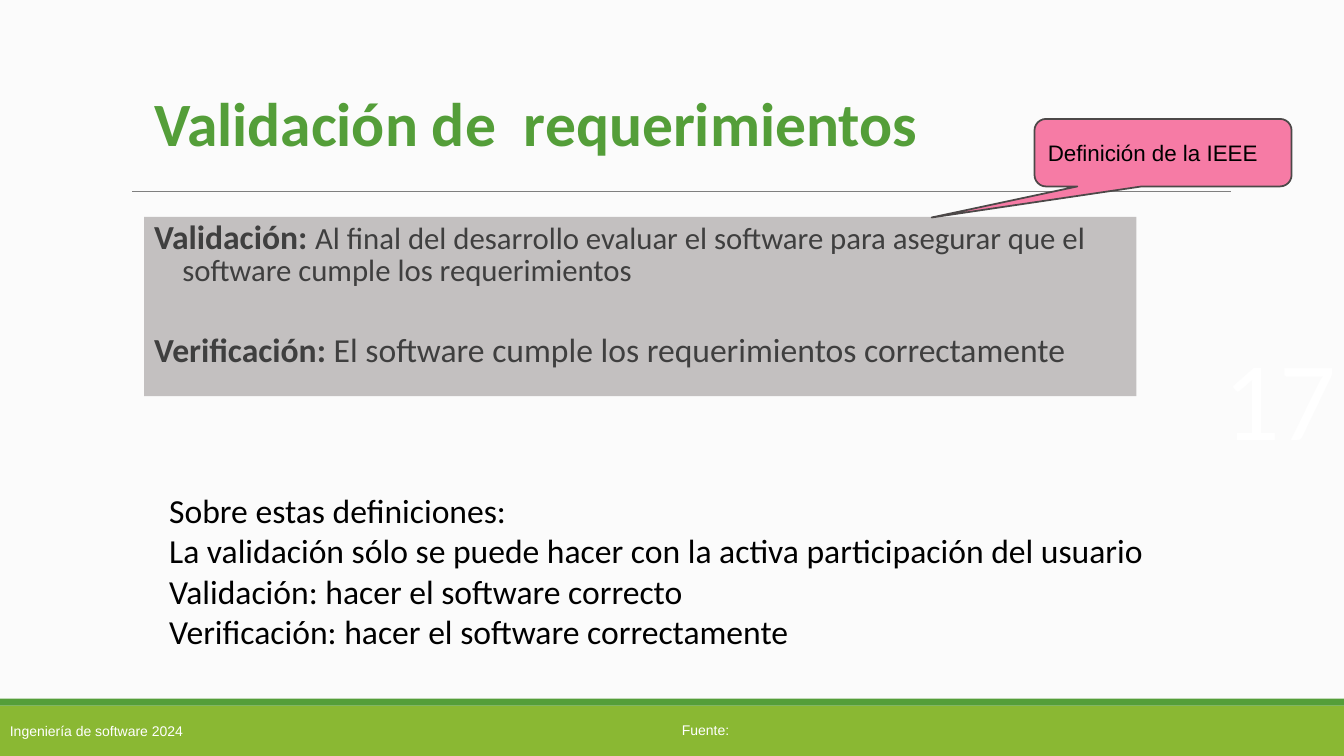
from pptx import Presentation
from pptx.dml.color import RGBColor
from pptx.enum.shapes import MSO_CONNECTOR as CONN, MSO_SHAPE as SHAPE
from pptx.enum.text import MSO_ANCHOR as ANCHOR, PP_ALIGN as ALIGN
from pptx.oxml.ns import qn
from pptx.util import Inches, Pt

W, H = Inches(13.33), Inches(7.5)
GREEN, LIME, WHITE, BLACK = "549E39", "8AB833", "FFFFFF", "000000"
GRAY, PINK, DARK = "C3C0C0", "F67BA5", "3F3F3F"


def color(value):
    return RGBColor.from_string(value)


def share(left, top, width, height):
    return [int(side * pct / 100) for side, pct in zip((W, H, W, H), (left, top, width, height))]


def set_all(target, values):
    for name, value in values.items():
        setattr(target, name, value)


def run(text, size, fill, face="Calibri", bold=False):
    return text, fill, {"size": Pt(size), "name": face, "bold": bold}


def para(*runs, hang=0, **layout):
    return runs, hang, layout


def write(sp, paras, pad=0.1, **frame):
    tf = sp.text_frame
    side, edge = Inches(0.1), Inches(pad / 2)
    set_all(tf, {"word_wrap": True, "margin_left": side, "margin_right": side,
                 "margin_top": edge, "margin_bottom": edge,
                 "vertical_anchor": ANCHOR.TOP, **frame})
    for i, (runs, hang, layout) in enumerate(paras):
        p = tf.add_paragraph() if i else tf.paragraphs[0]
        set_all(p, {"alignment": ALIGN.LEFT, **layout})
        if hang:
            pPr = p._p.get_or_add_pPr()
            pPr.set("marL", str(Inches(hang)))
            pPr.set("indent", str(-Inches(hang)))
        for text, fill, font in runs:
            r = p.add_run()
            r.text = text
            set_all(r.font, font)
            r.font.color.rgb = color(fill)


def add_block(s, kind, box, fill, line=None):
    sp = s.shapes.add_shape(kind, *share(*box))
    sp.shadow.inherit = False
    sp.fill.solid()
    sp.fill.fore_color.rgb = color(fill)
    if line:
        sp.line.color.rgb = color(line)
        sp.line.width = Pt(1.25)
    else:
        sp.line.fill.background()
    return sp


def add_text(s, box, paras, **frame):
    write(s.shapes.add_textbox(*share(*box)), paras, **frame)


def add_rule(s, left, right, top):
    x1, y, x2, _ = share(left, top, right, 0)
    cx = s.shapes.add_connector(CONN.STRAIGHT, x1, y, x2, y)
    cx.line.color.rgb = color("7F7F7F")
    cx.line.width = Pt(0.75)
    spPr = cx._element.spPr
    spPr.append(spPr.makeelement(qn("a:effectLst"), {}))


def add_footer(s):
    bar = add_block(s, SHAPE.RECTANGLE, (0, 93.33, 100, 6.67), LIME)
    write(bar, [para(run("Ingeniería de software 2024", 10, WHITE, "Arial"))],
          pad=0.2, vertical_anchor=ANCHOR.MIDDLE)
    add_block(s, SHAPE.RECTANGLE, (0, 92.4, 100, 0.93), GREEN)
    add_text(s, (50, 94.8, 5.03, 3.6), [para(run("Fuente:", 10, WHITE, "Arial"))],
             word_wrap=False)


def add_definitions(s):
    panel = add_block(s, SHAPE.RECTANGLE, (10.73, 28.67, 73.82, 23.73), GRAY)
    write(panel, [
        para(run("Validación: ", 24, DARK, bold=True),
             run("Al final del desarrollo evaluar el software para asegurar que el "
                 "software cumple los requerimientos", 22, DARK),
             hang=0.28, line_spacing=0.85),
        para(run("Verificación:", 24, DARK, bold=True),
             run(" El software cumple los requerimientos correctamente", 24, DARK),
             hang=0.28, line_spacing=0.85, space_before=Pt(34)),
    ])


def add_callout(s):
    sp = add_block(s, SHAPE.ROUNDED_RECTANGULAR_CALLOUT, (76.97, 15.73, 19.13, 8.93), PINK, "4C4848")
    for i, value in enumerate((-0.9, 0.96, 0.17)):
        sp.adjustments[i] = value
    write(sp, [para(run("Definición de la IEEE", 16, BLACK, "Arial"))],
          vertical_anchor=ANCHOR.MIDDLE)


def main():
    prs = Presentation()
    set_all(prs, {"slide_width": W, "slide_height": H})
    s = prs.slides.add_slide(prs.slide_layouts[6])
    s.background.fill.solid()
    s.background.fill.fore_color.rgb = color("FBFBFB")
    add_footer(s)
    add_rule(s, 9.83, 91.6, 25.33)
    add_text(s, (85, 43.47, 14.47, 18.13),
             [para(run("17", 80, WHITE), alignment=ALIGN.RIGHT)], pad=0, margin_right=0)
    add_definitions(s)
    add_text(s, (10.73, 7.6, 62.64, 18.53),
             [para(run("Validación de  requerimientos", 44, GREEN, bold=True), line_spacing=0.85)],
             vertical_anchor=ANCHOR.MIDDLE)
    notes = ("Sobre estas definiciones:",
             "La validación sólo se puede hacer con la activa participación del usuario",
             "Validación: hacer el software correcto",
             "Verificación: hacer el software correctamente")
    add_text(s, (11.85, 64.13, 83.57, 22.93),
             [para(run(text, 24, BLACK), hang=0.28 if i else 0.07) for i, text in enumerate(notes)])
    add_callout(s)
    prs.save("out.pptx")


if __name__ == "__main__":
    main()
